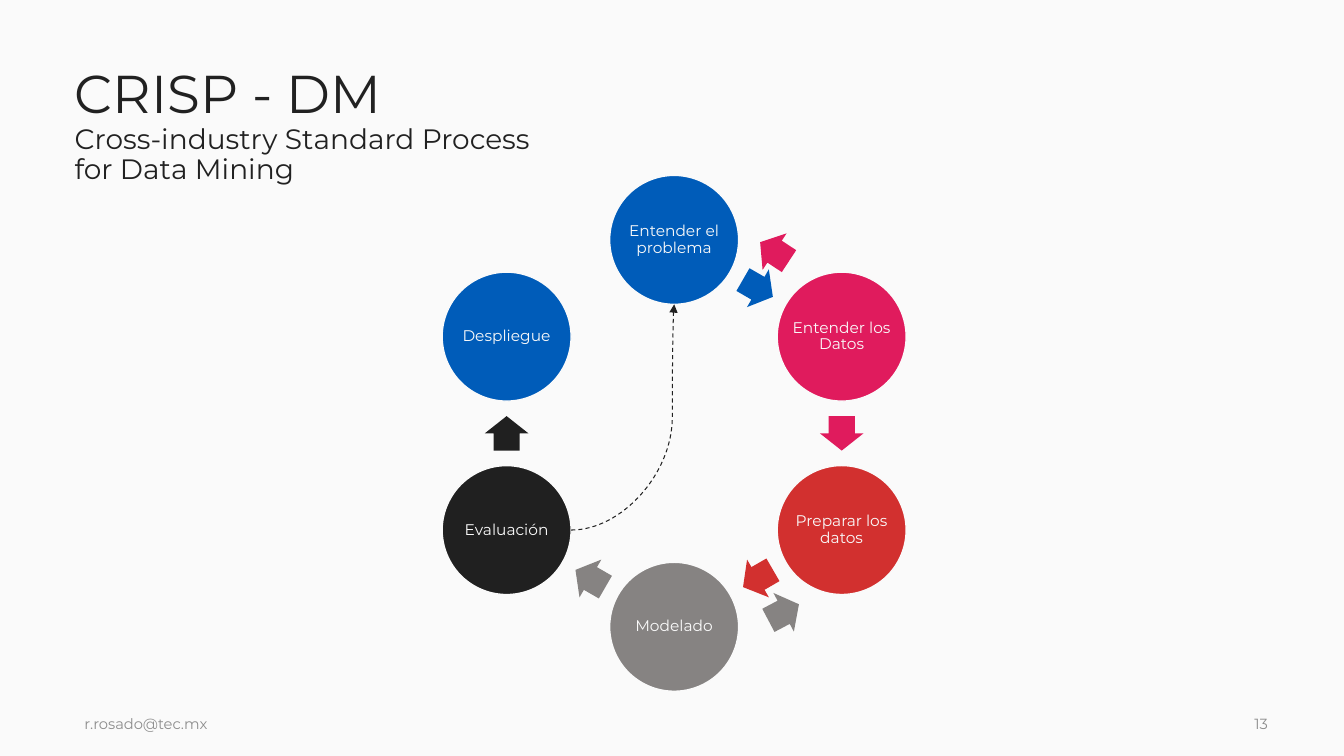
import math

from lxml import etree
from pptx import Presentation
from pptx import util as u
from pptx.dml.color import RGBColor
from pptx.enum import dml, shapes, text
from pptx.oxml.ns import qn

FONT = "Montserrat"
PAPER, INK, MUTED = "FAFAFA", "212121", "8D8D8D"
BLUE, PINK, RED, GREY, BLACK = "005CB9", "E01B5D", "D2302F", "868382", "202020"

PHASES = [
    ("Entender el\vproblema", BLUE),
    ("Entender los\vDatos", PINK),
    ("Preparar los\vdatos", RED),
    ("Modelado", GREY),
    ("Evaluación", BLACK),
    ("Despliegue", BLUE),
]
RETURNS = [(2.53, -4.58, 213.3, PINK), (2.76, 4.51, 332.2, GREY)]
DIAMETER = 3.25
ARROW_LENGTH, ARROW_WIDTH = 0.87, 1.1


def color(value):
    return RGBColor.from_string(value)


def style_runs(paragraph, sizes, shade):
    for run, size in zip(paragraph.runs, sizes):
        run.font.name = FONT
        run.font.size = u.Pt(size)
        run.font.color.rgb = color(shade)


def add_label(slide, box, words, sizes, shade, spacing=1.0):
    label = slide.shapes.add_textbox(*(u.Cm(length) for length in box))
    frame = label.text_frame
    frame.word_wrap = True
    frame.vertical_anchor = text.MSO_ANCHOR.MIDDLE
    frame.text = words
    paragraph = frame.paragraphs[0]
    paragraph.line_spacing = spacing
    style_runs(paragraph, sizes, shade)


def add_centered(slide, kind, x, y, width, height, fill):
    shape = slide.shapes.add_shape(
        kind, u.Cm(x - width / 2), u.Cm(y - height / 2), u.Cm(width), u.Cm(height))
    shape.shadow.inherit = False
    shape.fill.solid()
    shape.fill.fore_color.rgb = color(fill)
    return shape


def add_phase(slide, x, y, name, fill):
    phase = add_centered(slide, shapes.MSO_SHAPE.OVAL, x, y, DIAMETER, DIAMETER, fill)
    phase.line.color.rgb = color(PAPER)
    phase.line.width = u.Pt(1)
    frame = phase.text_frame
    frame.margin_left = frame.margin_right = 0
    frame.word_wrap = False
    frame.vertical_anchor = text.MSO_ANCHOR.MIDDLE
    frame.text = name
    paragraph = frame.paragraphs[0]
    paragraph.alignment = text.PP_ALIGN.CENTER
    paragraph.line_spacing = 0.9
    style_runs(paragraph, [11] * len(paragraph.runs), PAPER)


def add_arrow(slide, x, y, angle, fill):
    arrow = add_centered(
        slide, shapes.MSO_SHAPE.RIGHT_ARROW, x, y, ARROW_LENGTH, ARROW_WIDTH, fill)
    arrow.line.fill.background()
    arrow.adjustments[0] = 0.6
    arrow.adjustments[1] = 0.5
    arrow.rotation = angle


def add_restart(slide, start, end):
    restart = slide.shapes.add_connector(
        shapes.MSO_CONNECTOR.CURVE, *(u.Cm(length) for length in start + end))
    restart.line.color.rgb = color(INK)
    restart.line.width = u.Pt(0.75)
    restart.line.dash_style = dml.MSO_LINE.DASH
    etree.SubElement(restart.line._get_or_add_ln(), qn("a:tailEnd"), type="triangle")
    properties = restart._element.spPr
    etree.SubElement(properties, qn("a:effectLst"))
    guides = properties.find(qn("a:prstGeom")).get_or_add_avLst()
    etree.SubElement(guides, qn("a:gd"), name="adj1", fmla="val 98200")


def add_cycle(slide, left, top, width, height):
    center_x, center_y = left + width / 2, top + height / 2
    radius = (height - DIAMETER) / 2
    step = 360 / len(PHASES)

    def place(degrees, distance):
        angle = math.radians(degrees)
        return (center_x + distance * math.sin(angle),
                center_y - distance * math.cos(angle))

    halfway = radius * math.cos(math.radians(step / 2))
    for index, (name, fill) in enumerate(PHASES):
        add_phase(slide, *place(index * step, radius), name, fill)
        if index < len(PHASES) - 1:
            heading = (index + 0.5) * step
            add_arrow(slide, *place(heading, halfway), heading, fill)
    for dx, dy, angle, fill in RETURNS:
        add_arrow(slide, center_x + dx, center_y + dy, angle, fill)

    evaluation_x, evaluation_y = place(4 * step, radius)
    add_restart(slide, (evaluation_x + DIAMETER / 2, evaluation_y),
                (center_x, center_y - radius + DIAMETER / 2))


def add_heading(slide, left, top, width, height):
    add_label(slide, (left, top, width, height),
              "CRISP - DM\vCross-industry Standard Process\vfor Data Mining",
              [38, 20, 20], INK, 0.9)


def add_footer(slide, left, top, width, height):
    number_width = 1
    add_label(slide, (left, top, 19.46, height), "r.rosado@tec.mx", [10.5], MUTED)
    add_label(slide, (left + width - number_width, top, number_width, height),
              "13", [10.5], MUTED)


def main():
    deck = Presentation()
    deck.slide_width, deck.slide_height = u.Cm(33.87), u.Cm(19.05)
    slide = deck.slides.add_slide(deck.slide_layouts[6])
    slide.background.fill.solid()
    slide.background.fill.fore_color.rgb = color(PAPER)
    add_heading(slide, 1.63, 0.99, 30.4, 4.42)
    add_cycle(slide, 11.14, 4.42, 11.7, 13)
    add_footer(slide, 1.88, 17.42, 30.48, 1.63)
    deck.save("out.pptx")


if __name__ == "__main__":
    main()
